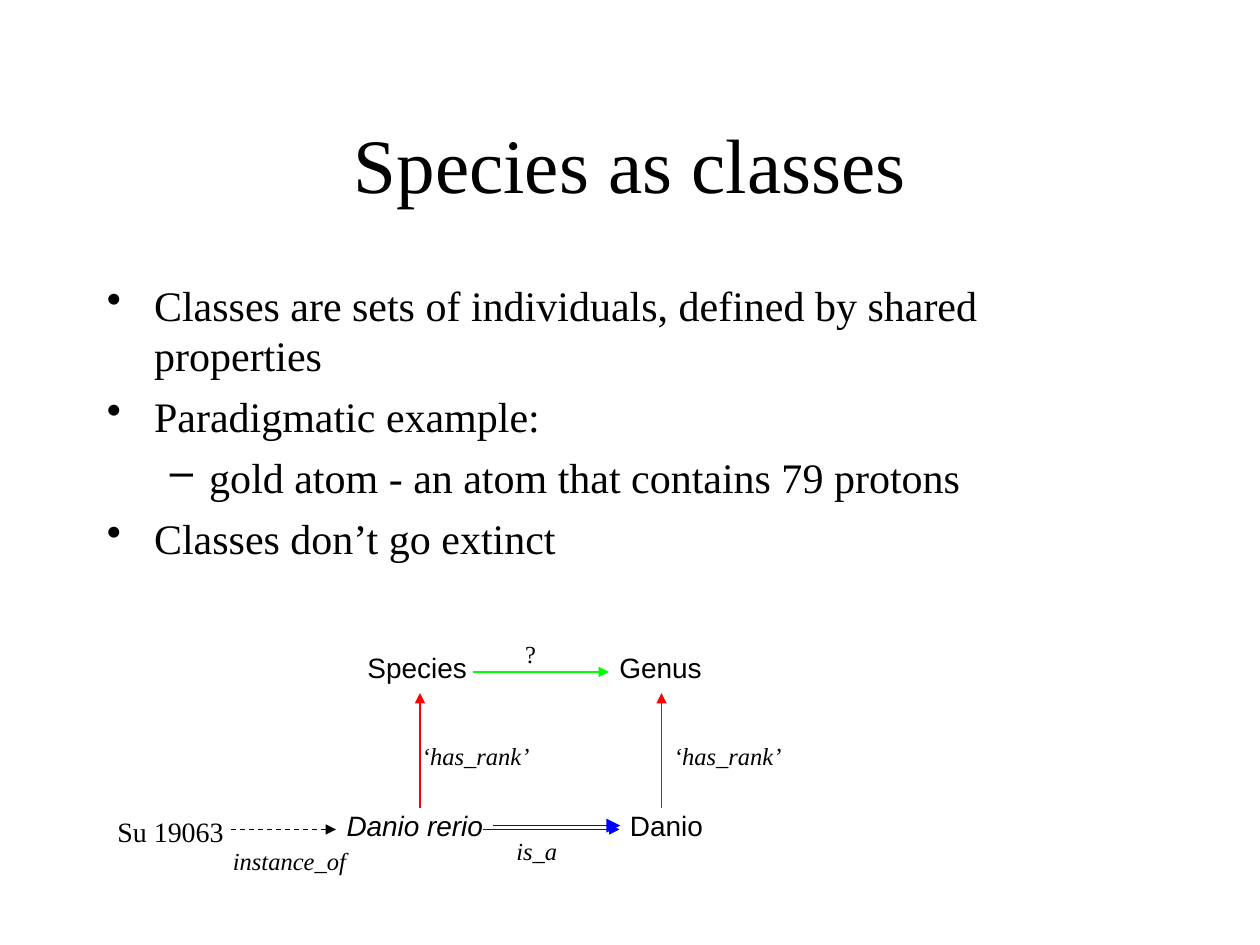
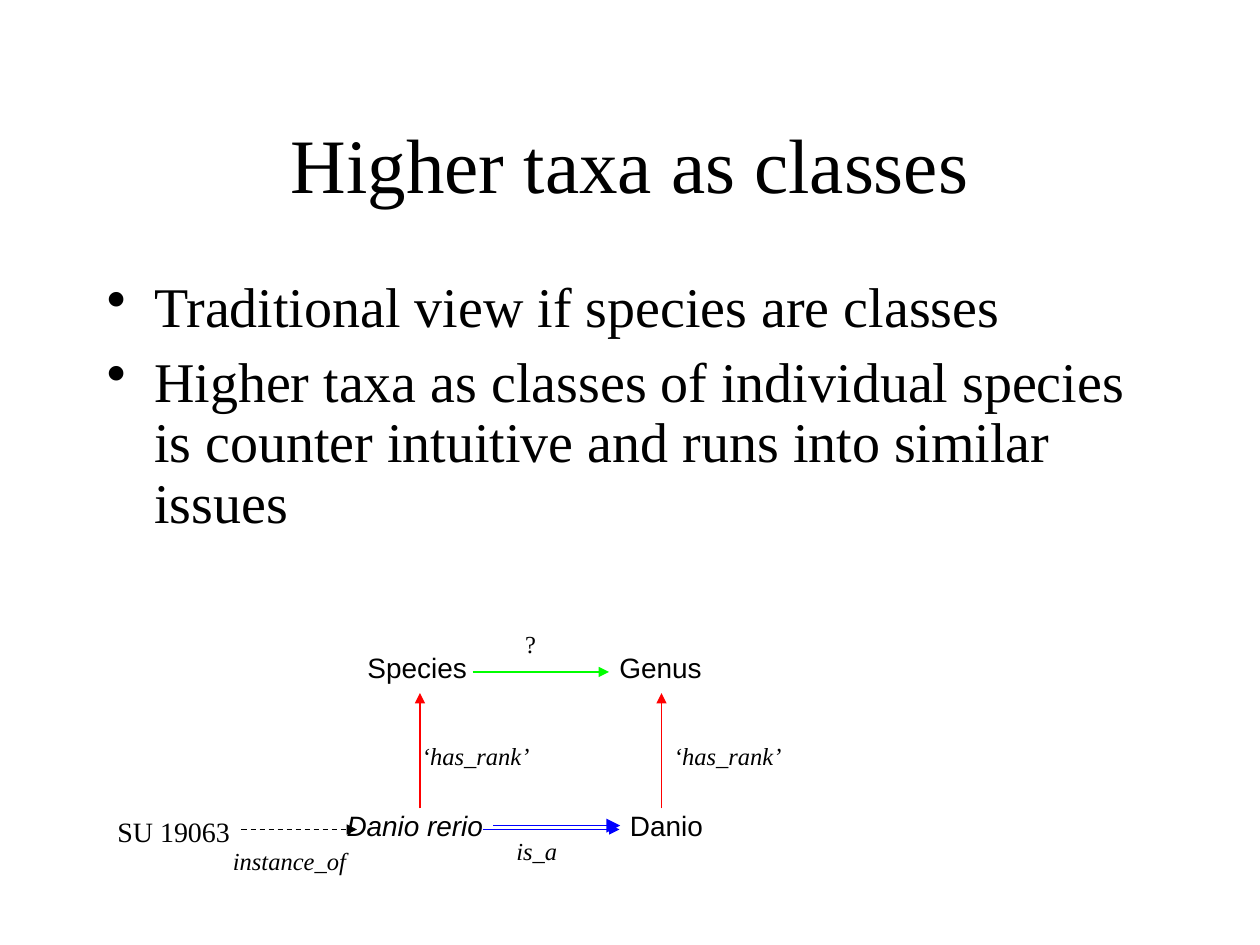
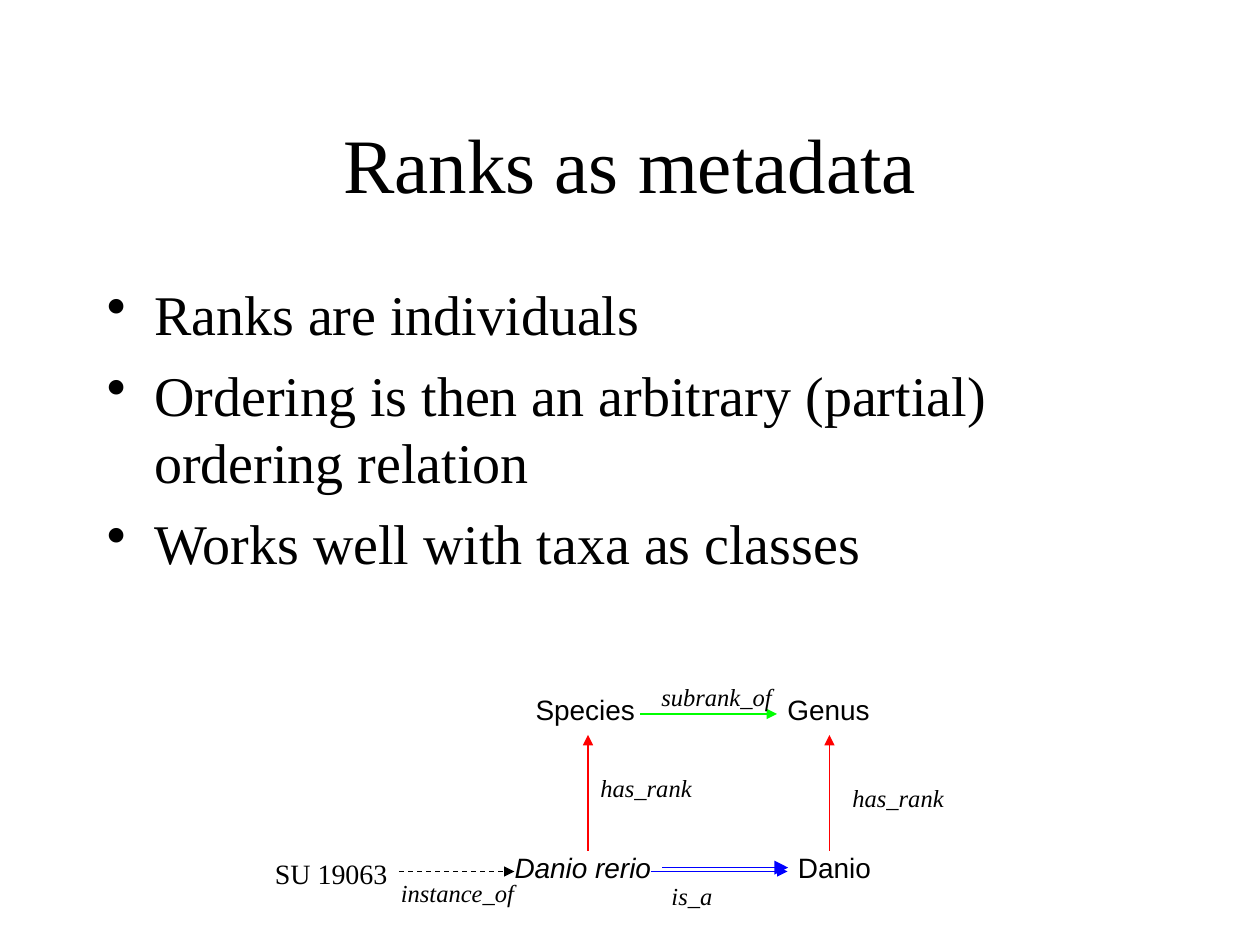
from dataclasses import dataclass

from lxml.etree import SubElement
from pptx import Presentation
from pptx.dml.color import RGBColor
from pptx.enum.dml import MSO_LINE
from pptx.enum.shapes import MSO_CONNECTOR
from pptx.enum.text import MSO_ANCHOR, MSO_AUTO_SIZE, PP_ALIGN
from pptx.oxml.ns import qn
from pptx.util import Pt

BLACK = RGBColor(0x00, 0x00, 0x00)
RED = RGBColor(0xFF, 0x00, 0x00)
GREEN = RGBColor(0x00, 0xFF, 0x00)
BLUE = RGBColor(0x00, 0x00, 0xFF)

SERIF = "Times New Roman"
SANS = "Arial"
TITLE_ONLY = 5
CONTENT_LEFT, CONTENT_WIDTH = 54, 612

# Bullet character, left margin and hanging indent of each list level
BULLET_LEVELS = [("•", 27, 27), ("–", 58.5, 22.5)]


@dataclass
class Label:
    """A relation name, placed relative to the diagram's origin."""
    text: str
    left: float
    top: float
    width: float
    italic: bool = True


@dataclass
class Diagram:
    left: float
    top: float
    specimen: str
    specimen_left: float
    specimen_width: float
    instance_start: float
    instance_end: float
    labels: list


def place(shape, left, top, width, height):
    shape.left, shape.top = Pt(left), Pt(top)
    shape.width, shape.height = Pt(width), Pt(height)


def format_runs(paragraph, size, font_name=SERIF, italic=False):
    for run in paragraph.runs:
        run.font.size = Pt(size)
        run.font.name = font_name
        run.font.italic = italic
        run.font.color.rgb = BLACK


def add_title(slide, text):
    title = slide.shapes.title
    place(title, CONTENT_LEFT, 48, CONTENT_WIDTH, 90)
    text_frame = title.text_frame
    text_frame.text = text
    text_frame.auto_size = MSO_AUTO_SIZE.NONE
    text_frame.vertical_anchor = MSO_ANCHOR.MIDDLE
    paragraph = text_frame.paragraphs[0]
    paragraph.alignment = PP_ALIGN.CENTER
    format_runs(paragraph, 44)


def add_bullets(slide, items, size, height=324, line_spacing=1.0):
    """Add a list of (level, text) items."""
    box = slide.shapes.add_textbox(
        Pt(CONTENT_LEFT), Pt(156), Pt(CONTENT_WIDTH), Pt(height))
    text_frame = box.text_frame
    text_frame.word_wrap = True
    text_frame.text = "\n".join(text for _, text in items)
    for paragraph, (level, _) in zip(text_frame.paragraphs, items):
        character, margin, hanging = BULLET_LEVELS[level]
        paragraph.level = level
        paragraph.line_spacing = line_spacing
        paragraph.space_before = Pt(size / 4)
        format_runs(paragraph, size)
        properties = paragraph._p.get_or_add_pPr()
        properties.set("marL", str(Pt(margin)))
        properties.set("indent", str(-Pt(hanging)))
        SubElement(properties, qn("a:buChar"), char=character)


def add_text(slide, text, left, top, width, height, size,
             font_name=SERIF, italic=False, inset=True):
    box = slide.shapes.add_textbox(Pt(left), Pt(top), Pt(width), Pt(height))
    text_frame = box.text_frame
    text_frame.word_wrap = True
    if not inset:
        text_frame.margin_left = text_frame.margin_right = 0
        text_frame.margin_top = text_frame.margin_bottom = 0
    text_frame.text = text
    format_runs(text_frame.paragraphs[0], size, font_name, italic)


def add_arrow(slide, start, end, color, dashed=False):
    connector = slide.shapes.add_connector(
        MSO_CONNECTOR.STRAIGHT, *map(Pt, start + end))
    connector.line.color.rgb = color
    connector.line.width = Pt(0.75)
    if dashed:
        connector.line.dash_style = MSO_LINE.DASH
    properties = connector.element.spPr
    SubElement(properties.find(qn("a:ln")), qn("a:tailEnd"), type="triangle")
    SubElement(properties, qn("a:effectLst"))


def add_polygon(slide, points, color):
    corners = [(Pt(x), Pt(y)) for x, y in points]
    builder = slide.shapes.build_freeform(*corners[0])
    builder.add_line_segments(corners[1:], close=True)
    shape = builder.convert_to_shape()
    shape.shadow.inherit = False
    shape.fill.solid()
    shape.fill.fore_color.rgb = color
    shape.line.fill.background()


def add_diagram(slide, diagram):
    def at(x, y):
        return diagram.left + x, diagram.top + y

    for name, x, y, width, italic in [
        ("Danio rerio", 0, 90, 79, True),
        ("Danio", 162, 90, 42, False),
        ("Species", 12, 0, 57, False),
        ("Genus", 156, 0, 47, False),
    ]:
        add_text(slide, name, *at(x, y), width, 19.4, 16, SANS, italic,
                 inset=False)

    shaft = [at(84, 99.4), at(149, 99.4), at(149, 100.2), at(84, 100.2)]
    head = [at(148.5, 95.8), at(156.4, 99.8), at(148.5, 103.8)]
    for points in (shaft, head):
        add_polygon(slide, points, BLUE)

    for x in (180, 42):
        add_arrow(slide, at(x, 90), at(x, 24), RED)
    add_arrow(slide, at(72, 12), at(150, 12), GREEN)
    add_arrow(slide, at(78, 102), at(156, 102), BLUE)

    add_text(slide, diagram.specimen, *at(diagram.specimen_left, 90),
             diagram.specimen_width, 26.6, 16)
    add_arrow(slide, at(diagram.instance_start, 102),
              at(diagram.instance_end, 102), BLACK, dashed=True)

    for label in diagram.labels:
        add_text(slide, label.text, *at(label.left, label.top), label.width,
                 24.5, 14, italic=label.italic)


def add_slide(presentation, title):
    slide = presentation.slides.add_slide(
        presentation.slide_layouts[TITLE_ONLY])
    add_title(slide, title)
    return slide


def main():
    presentation = Presentation()
    presentation.slide_width, presentation.slide_height = Pt(720), Pt(540)

    class_labels = [
        Label("instance_of", -72, 108, 80),
        Label("is_a", 90, 102, 64),
        Label("‘has_rank’", 180, 48, 76),
        Label("‘has_rank’", 36, 48, 76),
    ]
    rank_labels = [
        Label("subrank_of", 76.8, -10, 79),
        Label("instance_of", -72, 102, 80),
        Label("is_a", 82.6, 103.7, 38),
        Label("has_rank", 42, 42, 67),
        Label("has_rank", 186, 48, 67),
    ]

    slide = add_slide(presentation, "Species as classes")
    add_bullets(slide, [
        (0, "Classes are sets of individuals, defined by shared properties"),
        (0, "Paradigmatic example:"),
        (1, "gold atom - an atom that contains 79 protons"),
        (0, "Classes don’t go extinct"),
    ], size=24)
    add_diagram(slide, Diagram(
        198, 372, "Su 19063", -138, 78, -66, -6,
        class_labels + [Label("?", 95, -10.6, 21, italic=False)]))

    slide = add_slide(presentation, "Higher taxa as classes")
    add_bullets(slide, [
        (0, "Traditional view if species are classes"),
        (0, "Higher taxa as classes of individual species is counter "
            "intuitive and runs into similar issues"),
    ], size=32, height=210, line_spacing=0.9)
    add_diagram(slide, Diagram(
        198, 372, "SU 19063", -138, 85, -60, 6,
        class_labels + [Label("?", 95, -16.3, 21, italic=False)]))

    slide = add_slide(presentation, "Ranks as metadata")
    add_bullets(slide, [
        (0, "Ranks are individuals"),
        (0, "Ordering is then an arbitrary (partial) ordering relation"),
        (0, "Works well with taxa as classes"),
    ], size=32)
    add_diagram(slide, Diagram(
        294, 396, "SU 19063", -144, 85, -66, 0, rank_labels))

    presentation.save("out.pptx")


if __name__ == "__main__":
    main()
